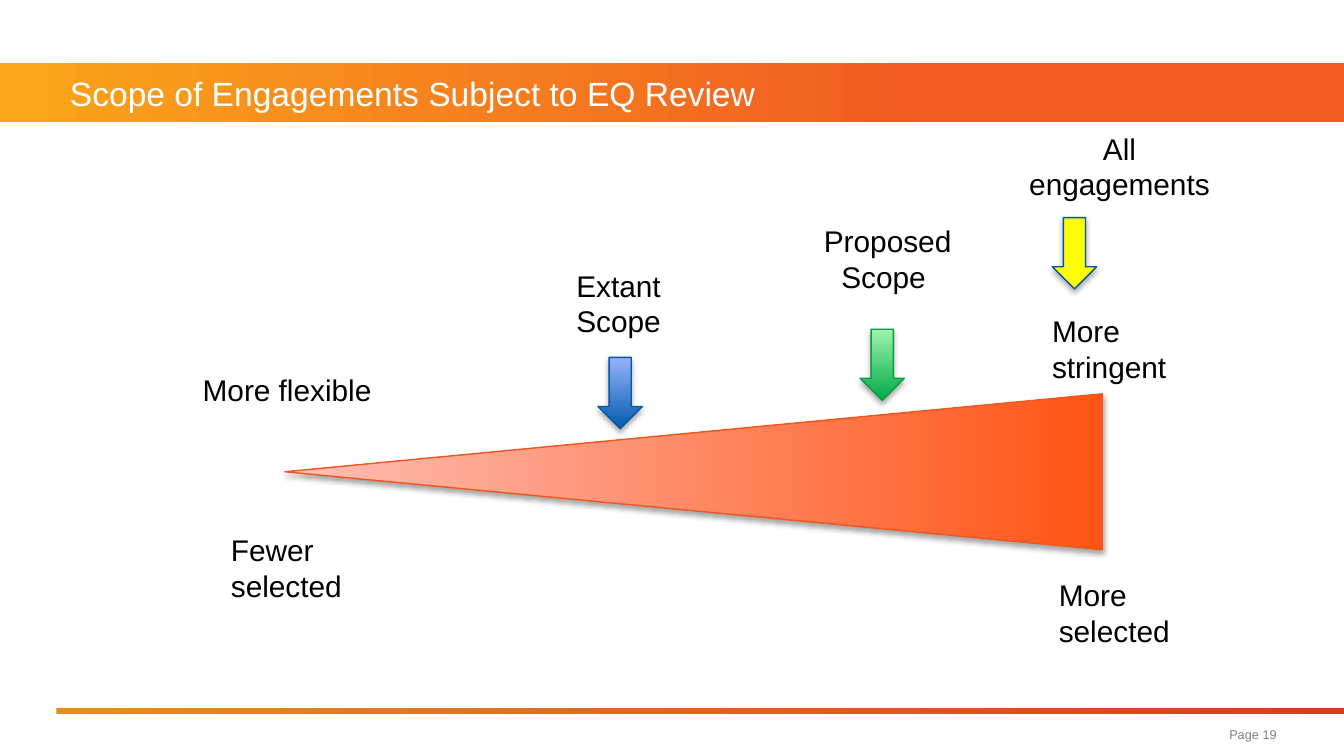
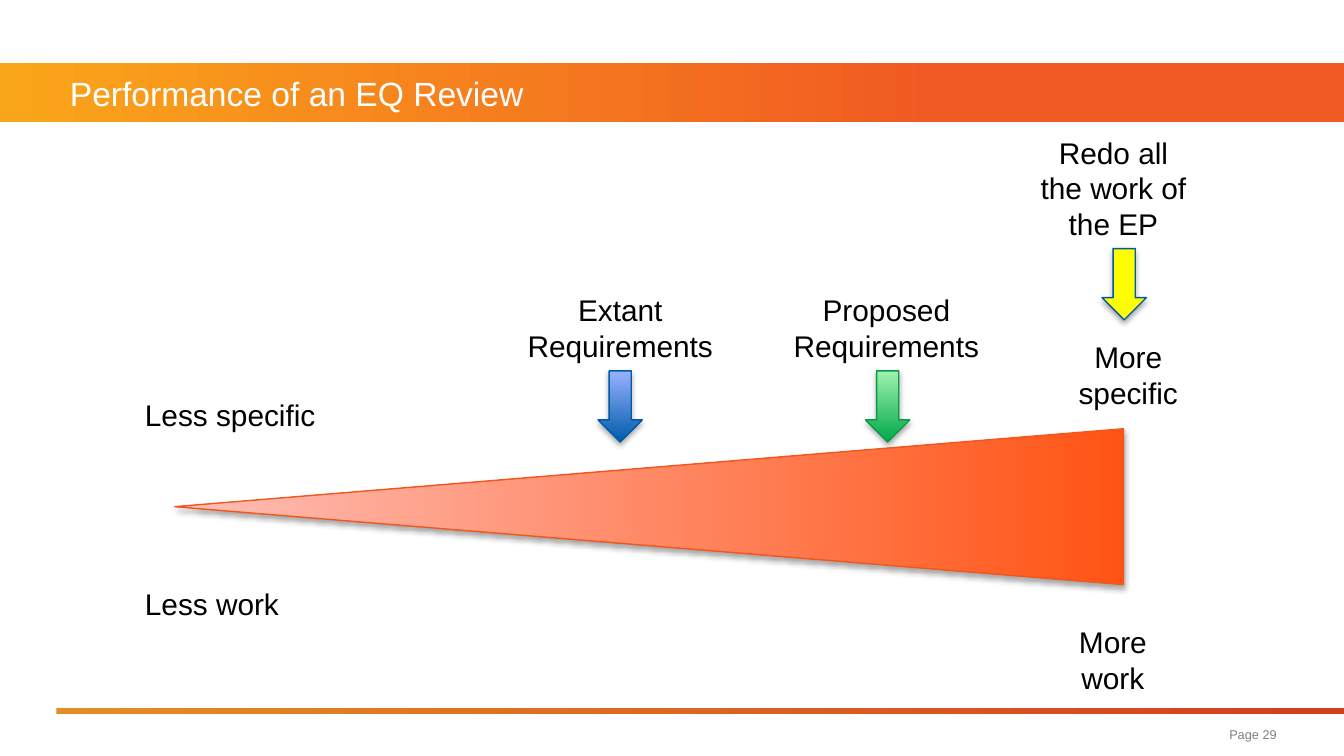
"""Build two slides that place review options along a widening scale."""
from lxml import etree
from pptx import Presentation
from pptx.dml.color import RGBColor
from pptx.enum.shapes import MSO_SHAPE
from pptx.enum.text import MSO_ANCHOR, MSO_AUTO_SIZE, PP_ALIGN
from pptx.oxml.ns import qn
from pptx.util import Pt

RECT, ARROW, WEDGE = MSO_SHAPE.RECTANGLE, MSO_SHAPE.DOWN_ARROW, MSO_SHAPE.FLOWCHART_EXTRACT
LEFT, CENTER, RIGHT = PP_ALIGN.LEFT, PP_ALIGN.CENTER, PP_ALIGN.RIGHT
MIDDLE, TOP = MSO_ANCHOR.MIDDLE, MSO_ANCHOR.TOP
GROW, FIXED = MSO_AUTO_SIZE.SHAPE_TO_FIT_TEXT, MSO_AUTO_SIZE.NONE

SLIDES = [
    {
        "title": "Scope of Engagements Subject to EQ Review",
        "page": "Page 19",
        "labels": [
            ("More flexible", 141, 272, 150, 1, LEFT),
            ("More stringent", 773, 228, 150, 2, LEFT),
            ("Extant Scope", 419, 194, 97, 2, LEFT),
            ("Proposed Scope ", 602, 161, 117, 2, CENTER),
            ("All engagements", 746, 92, 174, 2, CENTER),
            ("Fewer selected", 162, 391, 150, 2, LEFT),
            ("More selected", 778, 424, 150, 2, LEFT),
        ],
        "arrows": [("extant", 445, 266), ("proposed", 640, 245), ("limit", 783, 162)],
        "wedge": (212, 351, 608),
    },
    {
        "title": "Performance of an EQ Review",
        "page": "Page 29",
        "labels": [
            ("Less specific", 98, 290, 150, 1, LEFT),
            ("More specific", 783, 247, 113, 2, CENTER),
            ("Extant Requirements", 379, 212, 165, 2, CENTER),
            ("Proposed Requirements", 575, 212, 169, 2, CENTER),
            ("Redo all the work of the EP", 760, 95, 137, 3, CENTER),
            ("Less work", 98, 431, 150, 1, LEFT),
            ("More work", 774, 459, 108, 2, CENTER),
        ],
        "arrows": [("extant", 445, 276), ("proposed", 644, 276), ("limit", 820, 185)],
        "wedge": (130, 377, 706),
    },
]

THEME = {
    "font": "Arial",
    "title": (18, "FFFFFF"),
    "label": (16, "000000"),
    "page": (6.8, "808080"),
    "band": {"stops": [(0, "FAA61A"), (0.7, "F15A22")], "angle": 0},
    "rule": {"stops": [(0, "E58D23"), (0.99, "D53D20")], "angle": 0},
    "extant": {"stops": [(0, "005BAA"), (1, "98B2FF")], "angle": 90, "line": "0059A6"},
    "proposed": {"stops": [(0, "00A948"), (1, "9EF3AE")], "angle": 90, "line": "099C48"},
    "limit": {"solid": "FFFF00", "line": "0059A6"},
    "wedge": {"stops": [(0, "FF5414"), (1, "FFBFB7")], "angle": 90, "line": "F1561C"},
    "line_width": 0.75,
    "shadow": {"blurRad": Pt(3.1), "dist": Pt(1.8), "dir": 90 * 60000, "rotWithShape": 0},
    "shadow_alpha": 35000,
}

PX = 9144
SLIDE_W = 1000
SLIDE_H = SLIDE_W * 9 / 16
BAND_BOX = (0, 47, SLIDE_W, 44)
RULE_BOX = (42, 527, SLIDE_W - 42, 4)
TITLE_BOX = (42, 47, 740, 44)
PAGE_BOX = (722, 534, 228, 25)
ARROW_W, ARROW_H = 33, 53
WEDGE_H = 116
LINE_H, LABEL_PAD = 27, 10


def emu(*lengths):
    return [round(n * PX) for n in lengths]


def rgb(value):
    return RGBColor.from_string(value)


def add_shadow(sp):
    effects = sp._element.spPr.find(qn("a:effectLst"))
    attrs = {name: str(int(value)) for name, value in THEME["shadow"].items()}
    shadow = etree.SubElement(effects, qn("a:outerShdw"), attrs)
    color = etree.SubElement(shadow, qn("a:srgbClr"), val="000000")
    etree.SubElement(color, qn("a:alpha"), val=str(THEME["shadow_alpha"]))


def add_filled(s, kind, box, style):
    sp = s.shapes.add_shape(kind, *emu(*box))
    look = THEME[style]
    if "solid" in look:
        sp.fill.solid()
        sp.fill.fore_color.rgb = rgb(look["solid"])
    else:
        sp.fill.gradient()
        sp.fill.gradient_angle = look["angle"]
        for stop, (position, color) in zip(sp.fill.gradient_stops, look["stops"]):
            stop.position = position
            stop.color.rgb = rgb(color)
    sp.shadow.inherit = False
    if "line" in look:
        sp.line.color.rgb = rgb(look["line"])
        sp.line.width = Pt(THEME["line_width"])
        add_shadow(sp)
    else:
        sp.line.fill.background()
    return sp


def write(sp, text, style, align, **frame):
    tf = sp.text_frame
    for name, value in {"word_wrap": True, **frame}.items():
        setattr(tf, name, value)
    p = tf.paragraphs[0]
    p.alignment = align
    r = p.add_run()
    r.text = text
    size, color = THEME[style]
    for name, value in {"name": THEME["font"], "size": Pt(size)}.items():
        setattr(r.font, name, value)
    r.font.color.rgb = rgb(color)


def decorate_layout(layout, s):
    for index, (box, style) in enumerate([(BAND_BOX, "band"), (RULE_BOX, "rule")]):
        sp = add_filled(s, RECT, box, style)
        layout.shapes._spTree.insert(2 + index, sp._element)


def add_title(s, text):
    sp = s.shapes.title
    sp.left, sp.top, sp.width, sp.height = emu(*TITLE_BOX)
    write(sp, text, "title", LEFT, vertical_anchor=MIDDLE, auto_size=FIXED)


def add_page(s, text):
    sp = s.shapes.add_textbox(*emu(*PAGE_BOX))
    margins = {f"margin_{side}": 0 for side in ("left", "top", "right", "bottom")}
    write(sp, text, "page", RIGHT, vertical_anchor=MIDDLE, **margins)


def add_label(s, text, x, y, width, lines, align):
    sp = s.shapes.add_textbox(*emu(x, y, width, LABEL_PAD + LINE_H * lines))
    write(sp, text, "label", align, vertical_anchor=TOP, auto_size=GROW)


def add_wedge(s, x, middle, length):
    box = (x + (length - WEDGE_H) / 2, middle - length / 2, WEDGE_H, length)
    add_filled(s, WEDGE, box, "wedge").rotation = 270


def main():
    prs = Presentation()
    prs.slide_width, prs.slide_height = emu(SLIDE_W, SLIDE_H)
    layout = prs.slide_layouts[5]
    for index, content in enumerate(SLIDES):
        s = prs.slides.add_slide(layout)
        if index == 0:
            decorate_layout(layout, s)
        add_title(s, content["title"])
        for label in content["labels"]:
            add_label(s, *label)
        for style, x, y in content["arrows"]:
            add_filled(s, ARROW, (x, y, ARROW_W, ARROW_H), style)
        add_page(s, content["page"])
        add_wedge(s, *content["wedge"])
    prs.save("out.pptx")


if __name__ == "__main__":
    main()
